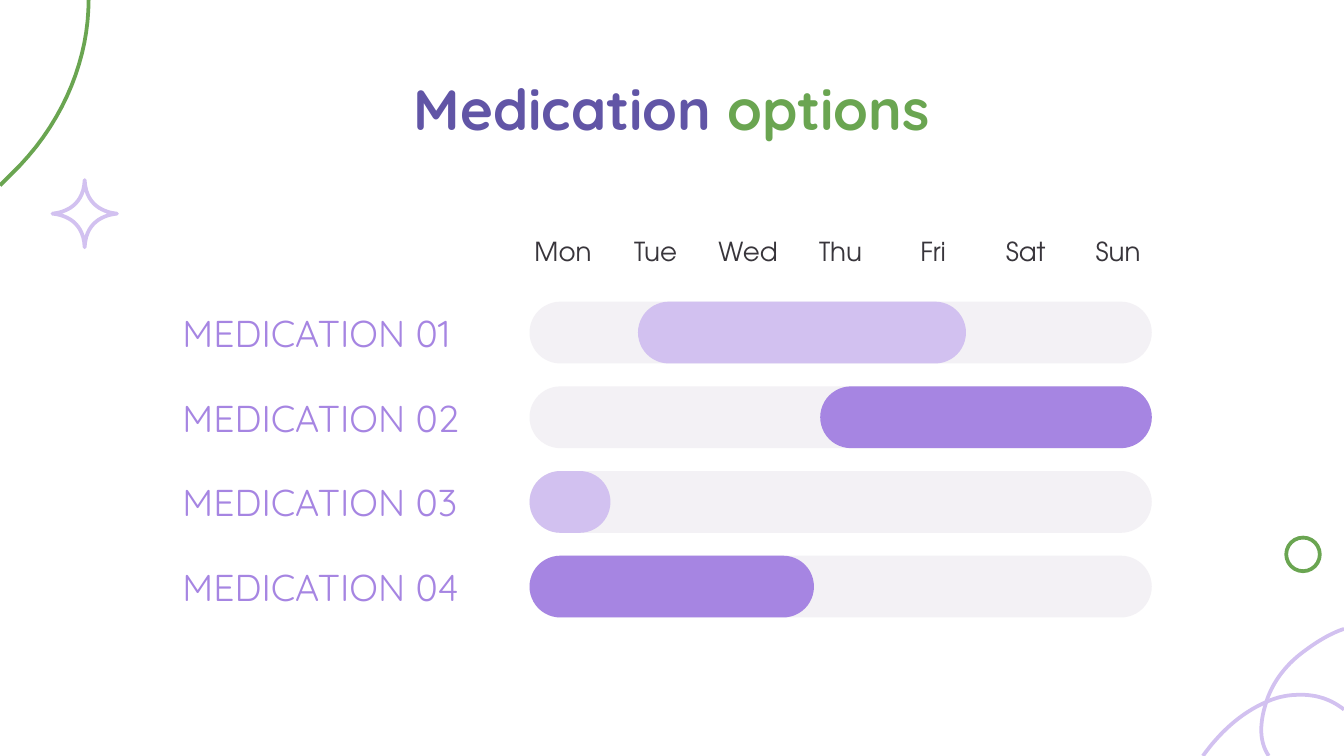
from dataclasses import dataclass

from lxml import etree
from pptx import Presentation
from pptx import util as u
from pptx.dml.color import RGBColor
from pptx.enum import shapes, text
from pptx.oxml.ns import qn

WIDTH = 10
HEIGHT = WIDTH * 9 / 16
GREEN, LILAC, PURPLE, INDIGO = "6AA551", "D2C1F0", "A685E2", "6155A6"
TRACK, INK = "F3F1F5", "38353B"
HEADING_FONT, BODY_FONT = "Quicksand", "TeX Gyre Adventor"

# Schedule grid
DAYS = ["Mon", "Tue", "Wed", "Thu", "Fri", "Sat", "Sun"]
HEADER_LEFT, HEADER_SPAN = 3.77, 4.13
HEADER_STEP = HEADER_SPAN / (len(DAYS) - 1)
TRACK_LEFT, TRACK_WIDTH, BAR_HEIGHT = 3.94, 4.63, 0.46
ROW_TOP, ROW_STEP, ROW_HEIGHT = 2.24, 0.63, 0.47
DAY_WIDTH = TRACK_WIDTH / len(DAYS)
LINE_WIDTH = 2

Point = tuple[float, float]
Box = tuple[float, float, float, float]


@dataclass
class Medication:
    name: str
    start: float  # in days from the left end of the track
    length: float  # in days
    color: str


@dataclass
class Curve:
    """A start point, then three points for each cubic segment."""
    points: list[Point]
    color: str
    closed: bool = False


MEDICATIONS = [
    Medication("MEDICATION 01", 1.22, 3.69, LILAC),
    Medication("MEDICATION 02", 3.27, 3.73, PURPLE),
    Medication("MEDICATION 03", 0, 0.91, LILAC),
    Medication("MEDICATION 04", 0, 3.2, PURPLE),
]


def rgb(value: str) -> RGBColor:
    return RGBColor.from_string(value)


def place(box: Box | Point) -> list[int]:
    return [u.Inches(value) for value in box]


def add_text(page, box: Box, spans: list[tuple[str, str]], size: float, font: str,
             align=text.PP_ALIGN.CENTER, bold: bool = False) -> None:
    frame = page.shapes.add_textbox(*place(box)).text_frame
    frame.word_wrap = True
    frame.vertical_anchor = text.MSO_ANCHOR.MIDDLE
    frame.margin_left = frame.margin_right = u.Inches(0.1)
    frame.margin_top = frame.margin_bottom = u.Inches(0.1)
    para = frame.paragraphs[0]
    para.alignment = align
    for words, color in spans:
        span = para.add_run()
        span.text = words
        span.font.size, span.font.name, span.font.bold = u.Pt(size), font, bold
        span.font.color.rgb = rgb(color)


def add_bar(page, box: Box, color: str) -> None:
    bar = page.shapes.add_shape(shapes.MSO_SHAPE.ROUNDED_RECTANGLE, *place(box))
    bar.adjustments[0] = 0.5
    bar.shadow.inherit = False
    bar.fill.solid()
    bar.fill.fore_color.rgb = rgb(color)
    bar.line.fill.background()


def outline(shape, color: str) -> None:
    shape.shadow.inherit = False
    shape.fill.background()
    shape.line.color.rgb = rgb(color)
    shape.line.width = u.Pt(LINE_WIDTH)
    etree.SubElement(shape.line._get_or_add_ln(), qn("a:round"))


def sample(a: Point, b: Point, c: Point, d: Point, steps: int = 16) -> list[Point]:
    result = []
    for step in range(1, steps + 1):
        t = step / steps
        weights = ((1 - t) ** 3, 3 * t * (1 - t) ** 2, 3 * t * t * (1 - t), t ** 3)
        result.append(tuple(sum(w * p[axis] for w, p in zip(weights, (a, b, c, d)))
                            for axis in (0, 1)))
    return result


def add_curve(page, curve: Curve) -> None:
    points = curve.points
    vertices = []
    for first in range(0, len(points) - 1, 3):
        vertices += sample(*points[first:first + 4])
    builder = page.shapes.build_freeform(*place(points[0]))
    builder.add_line_segments([place(vertex) for vertex in vertices], close=curve.closed)
    outline(builder.convert_to_shape(), curve.color)


def sparkle(x: float, y: float, half_width: float, half_height: float) -> Curve:
    quarter = [(0, -1), (0.04, -0.12), (0.8, -0.02), (1, 0)]
    points = [quarter[0]]
    for sx, sy, backward in ((1, 1, False), (1, -1, True), (-1, -1, False), (-1, 1, True)):
        side = quarter[::-1] if backward else quarter
        points += [(sx * px, sy * py) for px, py in side[1:]]
    return Curve([(x + px * half_width, y + py * half_height) for px, py in points],
                 LILAC, closed=True)


def add_decoration(page) -> None:
    ring = page.shapes.add_shape(shapes.MSO_SHAPE.OVAL, *place((9.57, 4, 0.25, 0.25)))
    outline(ring, GREEN)
    add_curve(page, sparkle(0.63, 1.59, 0.24, 0.25))
    # Top left arc
    add_curve(page, Curve([(0.66, 0), (0.66, 0.42), (0.49, 0.87), (0.15, 1.23),
                           (0.1, 1.28), (0.05, 1.33), (0, 1.38)], GREEN))
    # Crossing arcs, bottom right
    add_curve(page, Curve([(WIDTH, 4.68), (9.88, 4.72), (9.76, 4.8), (9.66, 4.88),
                           (9.54, 4.98), (9.46, 5.1), (9.42, 5.23),
                           (9.37, 5.39), (9.37, 5.52), (9.44, HEIGHT)], LILAC))
    add_curve(page, Curve([(8.95, HEIGHT), (9.07, 5.46), (9.22, 5.31), (9.43, 5.22),
                           (9.52, 5.18), (9.6, 5.17), (9.68, 5.17),
                           (9.79, 5.17), (9.9, 5.2), (WIDTH, 5.28)], LILAC))


def add_schedule(page) -> None:
    for column, day in enumerate(DAYS):
        left = HEADER_LEFT + column * HEADER_STEP
        add_text(page, (left, 1.68, 0.84, 0.38), [(day, INK)], 14, BODY_FONT)
    for row, item in enumerate(MEDICATIONS):
        top = ROW_TOP + row * ROW_STEP
        bar_top = top + (ROW_HEIGHT - BAR_HEIGHT) / 2
        add_bar(page, (TRACK_LEFT, bar_top, TRACK_WIDTH, BAR_HEIGHT), TRACK)
        add_bar(page, (TRACK_LEFT + item.start * DAY_WIDTH, bar_top,
                       item.length * DAY_WIDTH, BAR_HEIGHT), item.color)
        add_text(page, (1.26, top, 2.5, ROW_HEIGHT), [(item.name, PURPLE)], 20,
                 HEADING_FONT, text.PP_ALIGN.LEFT)


def main() -> None:
    deck = Presentation()
    deck.slide_width, deck.slide_height = u.Inches(WIDTH), u.Inches(HEIGHT)
    page = deck.slides.add_slide(deck.slide_layouts[6])
    add_decoration(page)
    add_schedule(page)
    add_text(page, (0.08 * WIDTH, 0.5, 0.84 * WIDTH, 0.6),
             [("Medication ", INDIGO), ("options", GREEN)], 30.4, HEADING_FONT, bold=True)
    deck.save("out.pptx")


if __name__ == "__main__":
    main()
